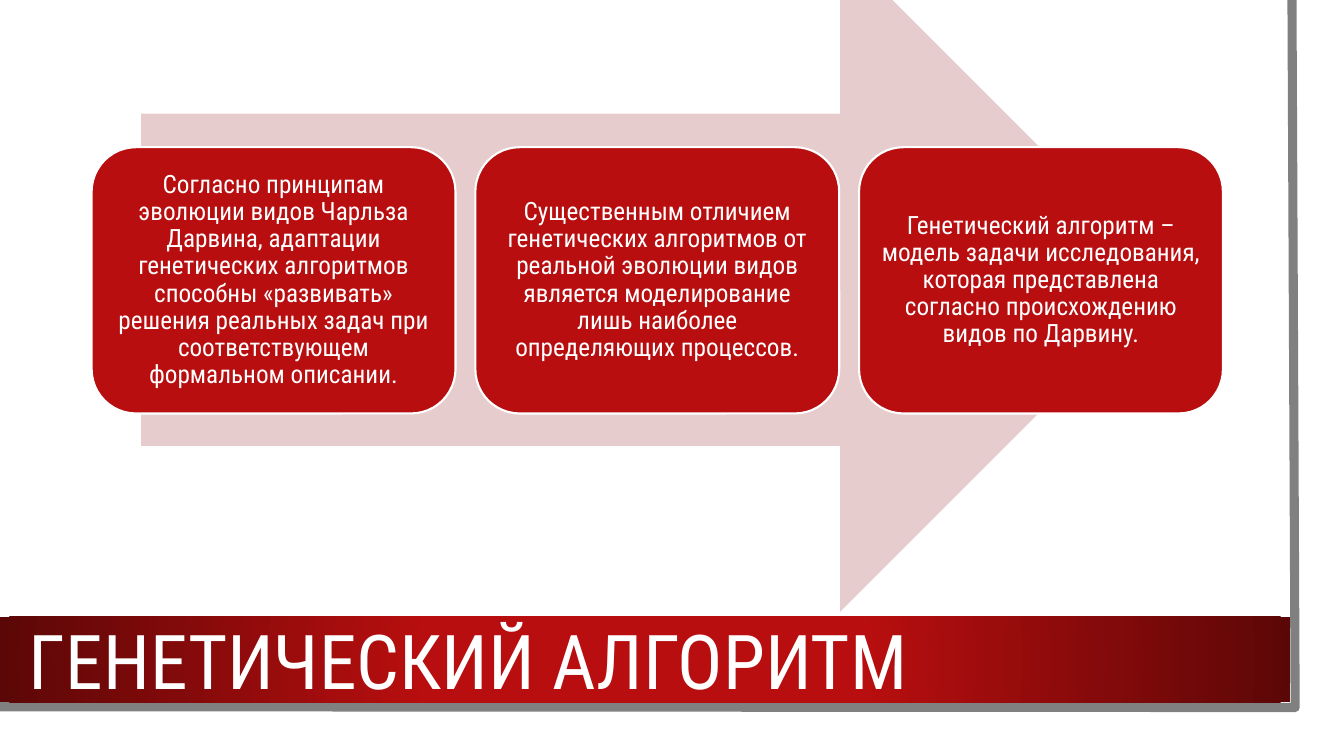
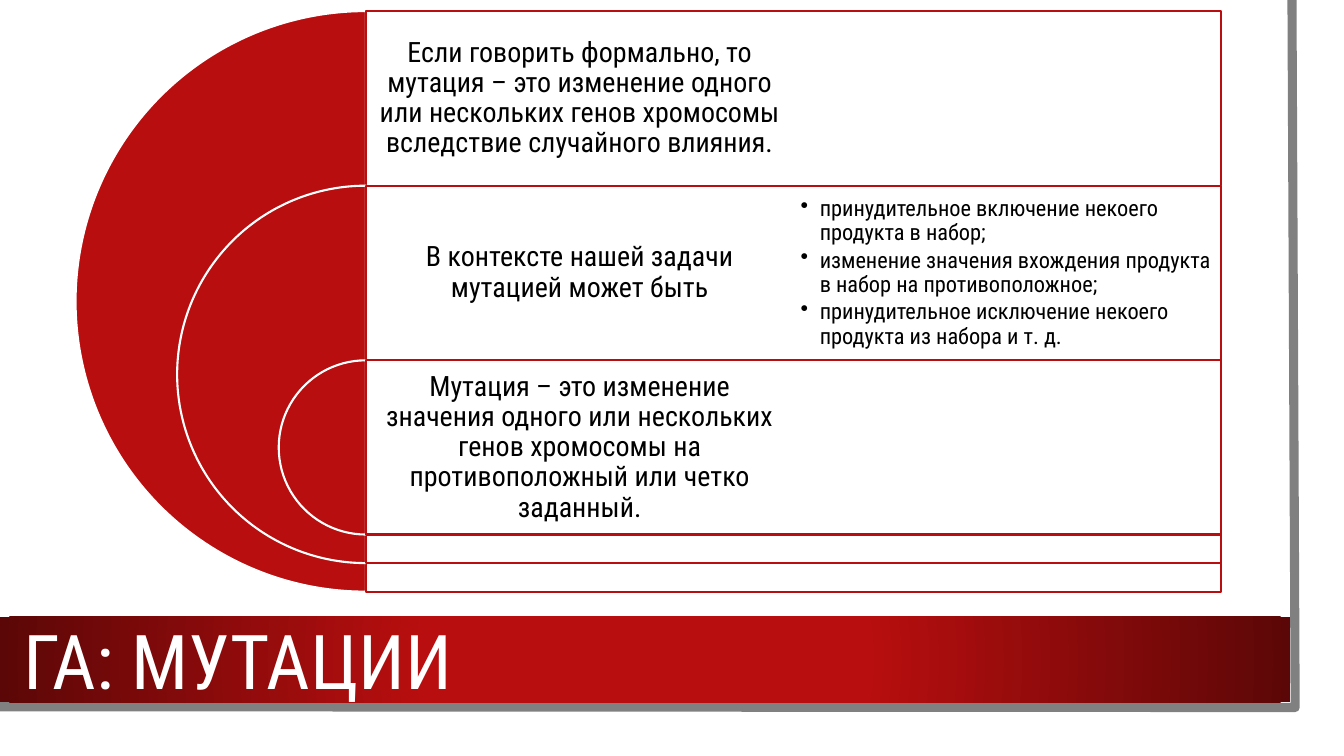
"""Builds two slides on genetic algorithms with a shared red title band."""
from dataclasses import dataclass

from lxml import etree
from pptx import Presentation
from pptx.dml.color import RGBColor
from pptx.enum.shapes import MSO_SHAPE
from pptx.enum.text import MSO_ANCHOR, MSO_AUTO_SIZE, PP_ALIGN
from pptx.oxml.ns import qn
from pptx.util import Cm, Pt

RECT = MSO_SHAPE.RECTANGLE
ROUND = MSO_SHAPE.ROUNDED_RECTANGLE
ARROW = MSO_SHAPE.RIGHT_ARROW
PIE = MSO_SHAPE.PIE
MIDDLE = MSO_ANCHOR.MIDDLE
FIXED = MSO_AUTO_SIZE.NONE
LEFT = PP_ALIGN.LEFT
CENTER = PP_ALIGN.CENTER


@dataclass(frozen=True)
class Theme:
    font: str = "Roboto Condensed"
    red: str = "B80E0F"
    dark: str = "5C0707"
    pink: str = "E6CCCC"
    gray: str = "808080"
    white: str = "FFFFFF"
    black: str = "000000"
    title: int = 54
    row: int = 20
    card: int = 18
    item: int = 16
    line: float = 1.5
    rail: float = 6.5


class Deck:
    def __init__(self, theme):
        self.theme = theme
        self.file = Presentation()
        self.file.slide_width, self.file.slide_height = Cm(33.87), Cm(19.05)
        self.layout = self.file.slide_layouts[5]
        self.slide = None

    def start(self, text, left):
        first = self.slide is None
        self.slide = self.file.slides.add_slide(self.layout)
        if first:
            self.frame()
        title = self.slide.shapes.title
        title.left, title.top = Cm(left), Cm(15.16)
        title.width, title.height = Cm(28.88), Cm(3.2)
        self.fill_text(title.text_frame, [text], self.theme.title,
                       self.theme.white, LEFT, 0.25)

    def frame(self):
        theme = self.theme
        pen = self.slide.shapes.build_freeform(Cm(32.56), Cm(0))
        pen.add_line_segments([(Cm(32.64), Cm(17.83)),
                               (Cm(-0.08), Cm(17.81))], close=False)
        rail = pen.convert_to_shape()
        rail.shadow.inherit = False
        rail.fill.background()
        self.stroke(rail, theme.gray, theme.rail)

        band = self.shape(RECT, (0, 15.54, 32.51, 2.16), theme.red)
        band.fill.gradient()
        stops = zip(band.fill.gradient_stops,
                    ((0.34, theme.red), (1, theme.dark)))
        for stop, (place, color) in stops:
            stop.position = place
            stop.color.rgb = RGBColor.from_string(color)
        grad = band.element.spPr.find(qn("a:gradFill"))
        grad.remove(grad.find(qn("a:lin")))
        glow = etree.SubElement(grad, qn("a:path"), {"path": "circle"})
        etree.SubElement(glow, qn("a:fillToRect"),
                         dict.fromkeys("ltrb", "50000"))
        for part in (rail, band):
            self.layout.shapes.element.append(part.element)

    def stroke(self, shape, color, width):
        shape.line.color.rgb = RGBColor.from_string(color)
        shape.line.width = Pt(width)

    def shape(self, kind, box, fill, line=None):
        shape = self.slide.shapes.add_shape(kind, *map(Cm, box))
        shape.shadow.inherit = False
        shape.fill.solid()
        shape.fill.fore_color.rgb = RGBColor.from_string(fill)
        if line:
            self.stroke(shape, line, self.theme.line)
        else:
            shape.line.fill.background()
        return shape

    def fill_text(self, frame, lines, size, color, align, inset,
                  bullet=False):
        frame.word_wrap = True
        frame.auto_size = FIXED
        frame.vertical_anchor = MIDDLE
        frame.margin_left = frame.margin_right = Cm(inset)
        frame.margin_top = frame.margin_bottom = Cm(min(inset, 0.2))
        for index, line in enumerate(lines):
            para = frame.add_paragraph() if index else frame.paragraphs[0]
            para.text = line
            para.alignment = align
            para.line_spacing = 0.9
            if bullet:
                para.space_after = Pt(2.4)
                props = para._p.get_or_add_pPr()
                props.set("marL", str(Cm(0.48)))
                props.set("indent", str(Cm(-0.48)))
                etree.SubElement(props, qn("a:buChar"), {"char": "•"})
            font = para.font
            font.name, font.size = self.theme.font, Pt(size)
            font.color.rgb = RGBColor.from_string(color)

    def card(self, box, text):
        theme = self.theme
        card = self.shape(ROUND, box, theme.red, theme.white)
        self.fill_text(card.text_frame, [text], theme.card, theme.white,
                       CENTER, 0.18)

    def pie(self, box):
        pie = self.shape(PIE, box, self.theme.red, self.theme.white)
        pie.adjustments[0], pie.adjustments[1] = 54, 162

    def label(self, box, text):
        frame = self.slide.shapes.add_textbox(*map(Cm, box)).text_frame
        self.fill_text(frame, [text], self.theme.row, self.theme.black,
                       CENTER, 0.2)

    def items(self, box, lines):
        frame = self.slide.shapes.add_textbox(*map(Cm, box)).text_frame
        self.fill_text(frame, lines, self.theme.item, self.theme.black,
                       LEFT, 0.18, bullet=True)


CARDS = (
    "Согласно принципам эволюции видов Чарльза Дарвина, адаптации "
    "генетических алгоритмов способны «развивать» решения реальных задач "
    "при соответствующем формальном описании.",
    "Существенным отличием генетических алгоритмов от реальной эволюции "
    "видов является моделирование лишь наиболее\vопределяющих процессов.",
    "Генетический алгоритм – модель задачи исследования, которая "
    "представлена согласно происхождению видов по Дарвину.",
)
ROWS = (
    "Если говорить формально, то мутация – это изменение одного или "
    "нескольких генов хромосомы вследствие случайного влияния.",
    "В контексте нашей задачи мутацией может быть",
    "Мутация – это изменение значения одного или нескольких генов "
    "хромосомы на противоположный или четко заданный.",
)
CASES = (
    "принудительное включение некоего продукта в набор;",
    "изменение значения вхождения продукта в набор на противоположное;",
    "принудительное исключение некоего продукта из набора и т. д.",
)


def main():
    theme = Theme()
    deck = Deck(theme)

    deck.start("ГЕНЕТИЧЕСКИЙ АЛГОРИТМ", 0.48)
    deck.shape(ARROW, (3.56, -1.32, 25.98, 16.74), theme.pink)
    for index, text in enumerate(CARDS):
        deck.card((2.31 + 9.67 * index, 3.71, 9.17, 6.71), text)

    deck.start("ГА: МУТАЦИИ", 0.33)
    axis, top, step, half = 9.22, 0.28, 4.4, 10.78
    for index, text in enumerate(ROWS):
        size = 14.63 - 5.12 * index
        row = top + step * index
        deck.pie((axis - size / 2, row, size, size))
        deck.shape(RECT, (axis, row, 2 * half, size), theme.white, theme.red)
        deck.label((axis, row, half, step), text)
    deck.items((axis + half, top + step, half, step), CASES)

    deck.file.save("out.pptx")


if __name__ == "__main__":
    main()
